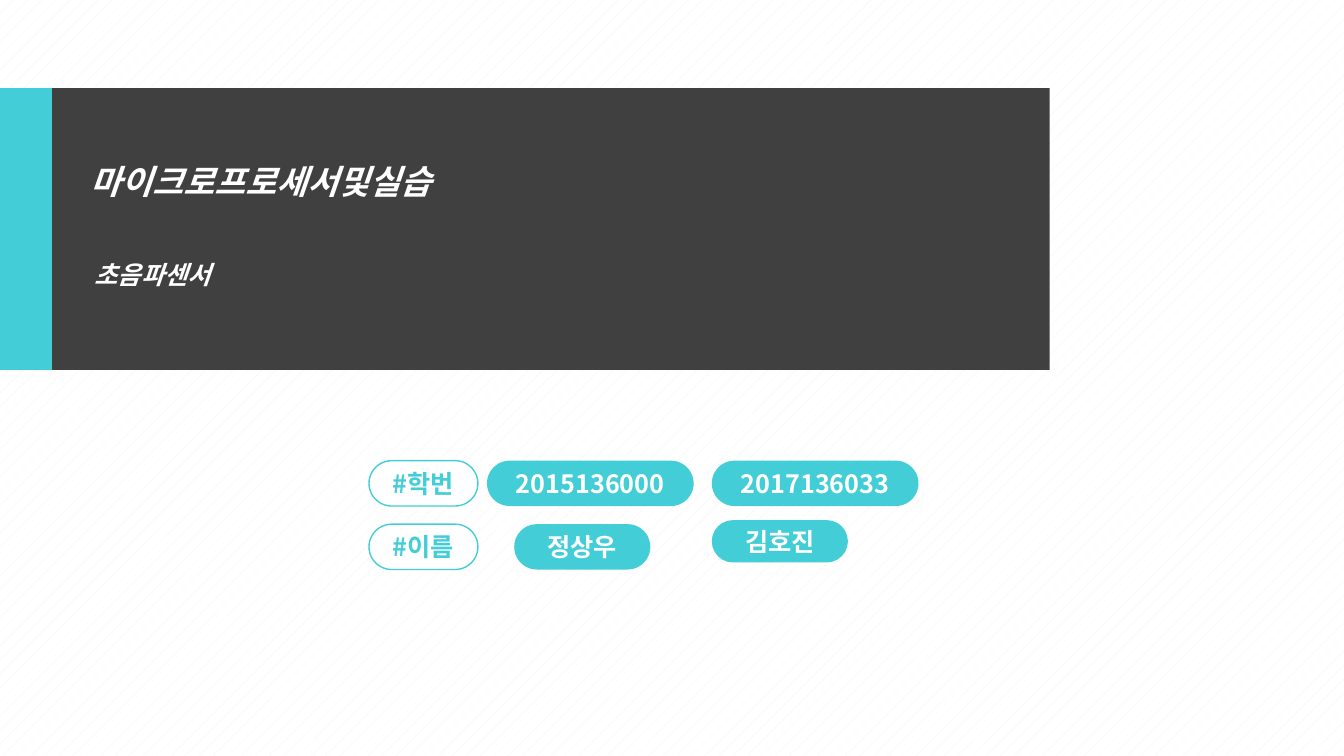
"""Build the cover slide of a microprocessor lab report on an ultrasonic sensor."""
import pptx
import pptx.dml.color
import pptx.enum.dml
import pptx.enum.shapes
import pptx.enum.text
import pptx.oxml
import pptx.oxml.ns
import pptx.util
from dataclasses import dataclass

COURSE = "마이크로프로세서및실습"
TOPIC = "초음파센서"
LABELS = ("#학번", "#이름")
STUDENTS = (("2015136000", "정상우"), ("2017136033", "김호진"))


@dataclass(frozen=True)
class Theme:
    font: str = "Noto Sans CJK KR"
    accent: str = "43CDD7"
    dark: str = "404040"
    white: str = "FFFFFF"
    stripe: str = "F2F2F2"
    course_size: int = 24
    text_size: int = 18
    outline: int = 1


THEME = Theme()
SLIDE_SIZE = (13.33, 7.5)
BAND = (0, 0.87, 10.41, 2.8)
COURSE_INSET = (0.9, 0.73)
TOPIC_BOX = (0.94, 2.57, 9, 0.36)
ACCENT_START = 0.95

LABEL_LEFT, LABEL_WIDTH = 3.66, 1.08
ROW_TOP, ROW_PITCH, PILL_HEIGHT = 4.57, 0.63, 0.45
NUMBER_LEFT, NUMBER_PITCH, NUMBER_WIDTH = 4.83, 2.23, 2.05
NAME_BOXES = ((5.1, 5.2, 1.35, 0.45), (7.06, 5.16, 1.35, 0.42))


def color(code):
    return pptx.dml.color.RGBColor.from_string(code)


def inches(box):
    return [pptx.util.Inches(length) for length in box]


def place(part, box):
    part.left, part.top, part.width, part.height = inches(box)


def write(part, text, size, ink, align, anchor, inset=(0, 0), italic=False):
    frame = part.text_frame
    frame.text = text
    frame.auto_size = pptx.enum.text.MSO_AUTO_SIZE.NONE
    frame.word_wrap = True
    frame.vertical_anchor = anchor
    frame.margin_left, frame.margin_top = inches(inset)
    frame.margin_right = frame.margin_bottom = 0
    paragraph = frame.paragraphs[0]
    paragraph.alignment = align
    paragraph.line_spacing = 1.0
    paragraph.space_before = pptx.util.Pt(0)
    font = paragraph.runs[0].font
    font.name, font.size = THEME.font, pptx.util.Pt(size)
    font.bold, font.italic = True, italic
    font.color.rgb = color(ink)
    east_asian = pptx.oxml.parse_xml(
        f'<a:ea {pptx.oxml.ns.nsdecls("a")} typeface="{THEME.font}"/>')
    paragraph.runs[0]._r.rPr.find(pptx.oxml.ns.qn("a:latin")).addnext(east_asian)


def write_heading(part, text, size, inset=(0, 0)):
    write(part, text, size, THEME.white, pptx.enum.text.PP_ALIGN.LEFT,
          pptx.enum.text.MSO_ANCHOR.TOP, inset, italic=True)


def add_pill(slide, text, box, outlined=False):
    pill = slide.shapes.add_shape(
        pptx.enum.shapes.MSO_SHAPE.ROUNDED_RECTANGLE, *inches(box))
    pill.adjustments[0] = 0.5
    pill.shadow.inherit = False
    pill.fill.solid()
    pill.fill.fore_color.rgb = color(THEME.white if outlined else THEME.accent)
    if outlined:
        pill.line.color.rgb = color(THEME.accent)
        pill.line.width = pptx.util.Pt(THEME.outline)
    else:
        pill.line.fill.background()
    write(pill, text, THEME.text_size, THEME.accent if outlined else THEME.white,
          pptx.enum.text.PP_ALIGN.CENTER, pptx.enum.text.MSO_ANCHOR.MIDDLE)


def paint_background(slide):
    fill = slide.background.fill
    fill.patterned()
    fill.pattern = pptx.enum.dml.MSO_PATTERN.PERCENT_5
    fill.fore_color.rgb = color(THEME.stripe)
    fill.back_color.rgb = color(THEME.white)


def add_headings(slide):
    course, topic = slide.placeholders
    place(course, BAND)
    course.fill.gradient()
    course.fill.gradient_angle = 180
    for stop, code in zip(course.fill.gradient_stops, (THEME.dark, THEME.accent)):
        stop.position = ACCENT_START
        stop.color.rgb = color(code)
    write_heading(course, COURSE, THEME.course_size, COURSE_INSET)
    place(topic, TOPIC_BOX)
    write_heading(topic, TOPIC, THEME.text_size)


def add_students(slide):
    for row, label in enumerate(LABELS):
        top = ROW_TOP + row * ROW_PITCH
        add_pill(slide, label, (LABEL_LEFT, top, LABEL_WIDTH, PILL_HEIGHT), outlined=True)
    for column, (number, name) in enumerate(STUDENTS):
        left = NUMBER_LEFT + column * NUMBER_PITCH
        add_pill(slide, number, (left, ROW_TOP, NUMBER_WIDTH, PILL_HEIGHT))
        add_pill(slide, name, NAME_BOXES[column])


def main():
    deck = pptx.Presentation()
    deck.slide_width, deck.slide_height = inches(SLIDE_SIZE)
    slide = deck.slides.add_slide(deck.slide_layouts[0])
    paint_background(slide)
    add_headings(slide)
    add_students(slide)
    deck.save("out.pptx")


if __name__ == "__main__":
    main()
